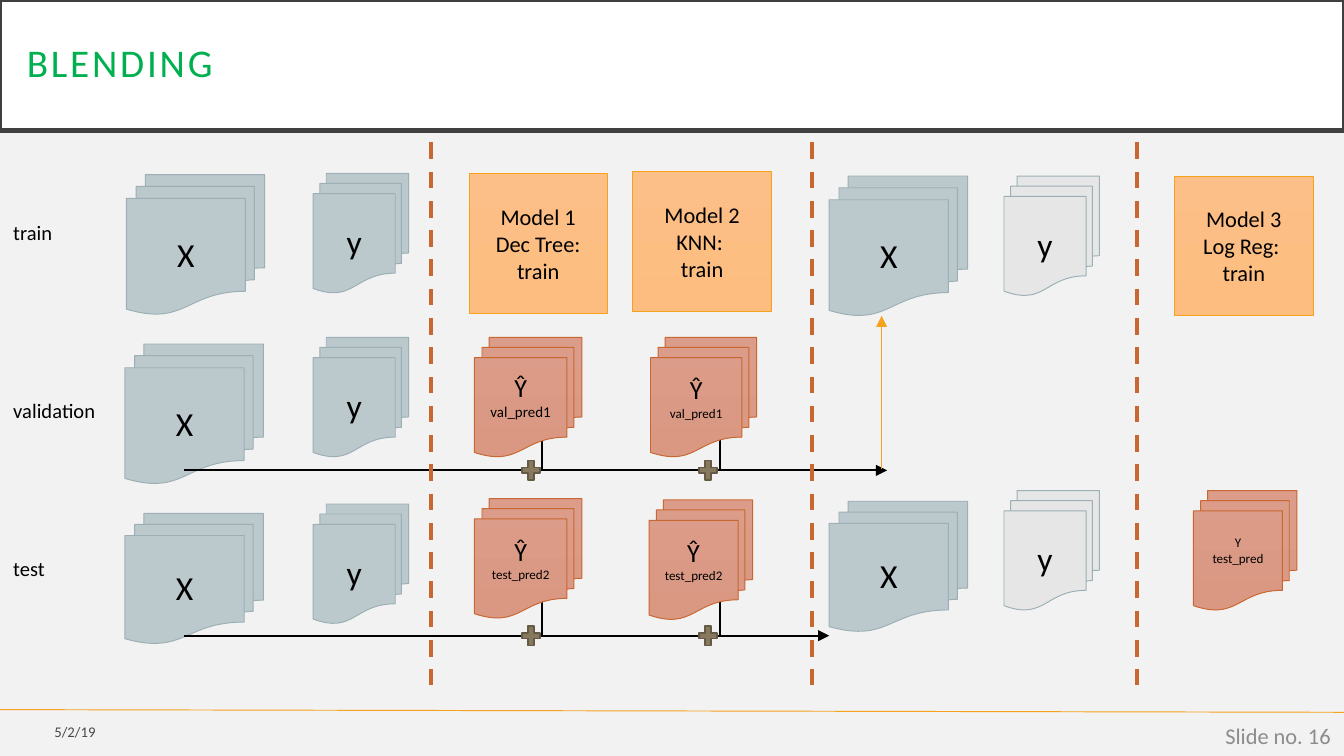
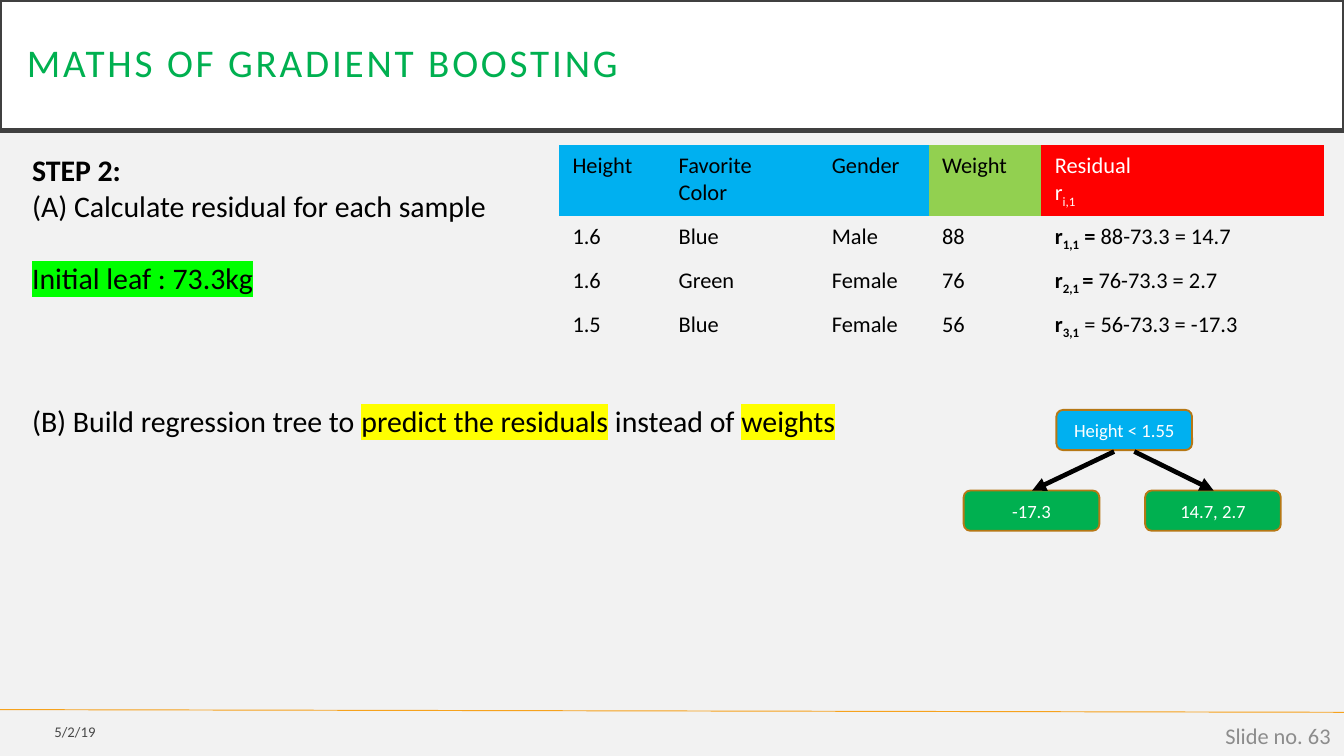
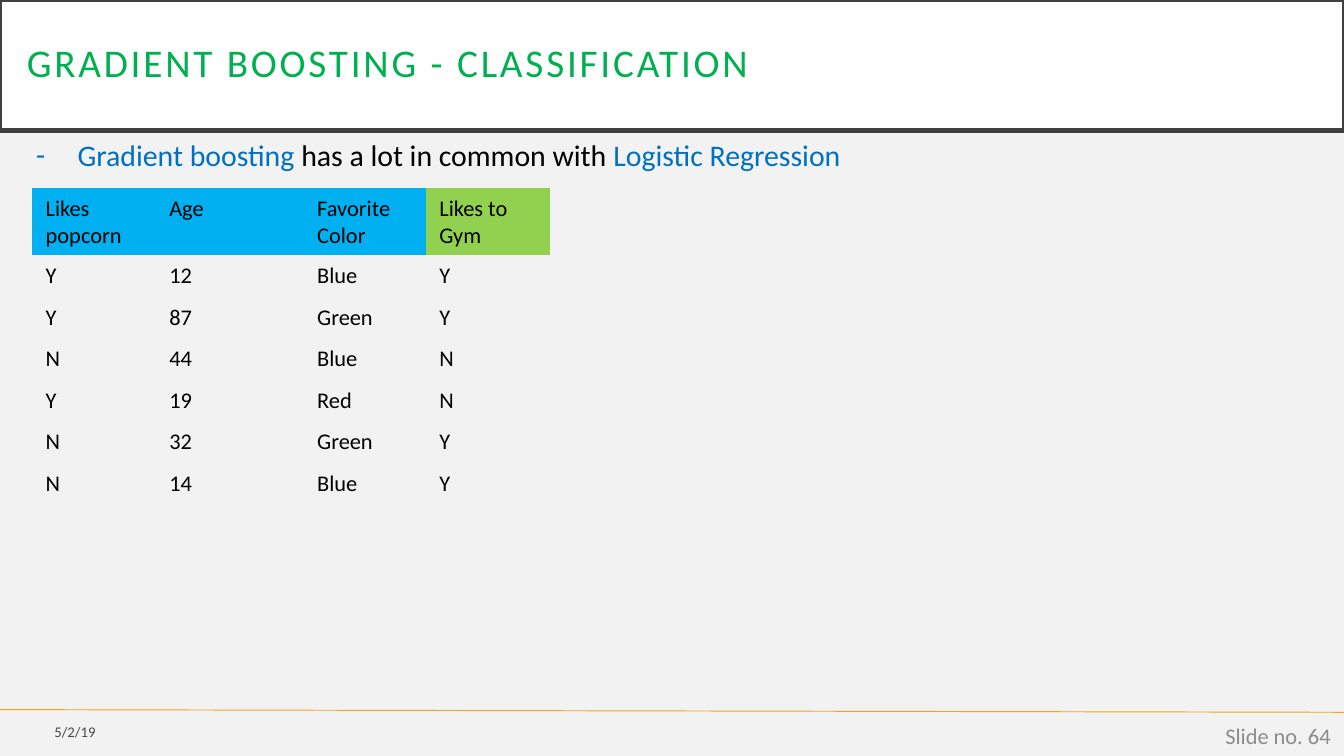
import pptx
import pptx.util
import pptx.dml.color
import pptx.enum.dml
import pptx.enum.shapes
import pptx.enum.text
from lxml import etree
from pptx.oxml.ns import qn

Pt = pptx.util.Pt
SHAPE = pptx.enum.shapes.MSO_SHAPE
ALIGN = pptx.enum.text.PP_ALIGN
MIDDLE = pptx.enum.text.MSO_ANCHOR.MIDDLE

# The slide is a grid of 10 columns; rows are as high as columns are wide.
COLUMNS = 10
ROWS = COLUMNS * 9 / 16
CELL = pptx.util.Inches(1)
FONT = "Calibri"
NS = {"a": "http://schemas.openxmlformats.org/drawingml/2006/main",
      "p": "http://schemas.openxmlformats.org/presentationml/2006/main"}
NO_TABLE_STYLE = "{2D5ABB26-0587-4C30-8999-92F81FD0307C}"

COLORS = {
    "paper": "F2F2F2", "white": "FFFFFF", "black": "000000",
    "frame": "404040", "title": "00B050", "number": "8C8C8C",
    "gold": "F6A21D", "rust": "C96731", "slate": "9BAFB5", "grey": "BFBFBF",
    "plus": "87795D", "plus_edge": "645A45", "node_edge": "B67815",
    "sky": "00B0F0", "lime": "92D050", "red": "FF0000", "blue": "0070C0",
    "mark_green": "00FF00", "mark_yellow": "FFFF00",
    "data_top": "BBC8CC", "data_end": "B8C6CB",
    "model_top": "FCBF87", "model_end": "FDBD80",
    "pred_top": "DB9C89", "pred_end": "DA9882",
}
DATA = ("data_top", "data_end")
MODEL = ("model_top", "model_end")
PRED = ("pred_top", "pred_end")

BOLD = {"bold": True}
SUB = {"sub": True}
BOLD_SUB = {**BOLD, **SUB}


def rgb(name):
    return pptx.dml.color.RGBColor.from_string(COLORS[name])


def grid(*cells):
    return [int(c * CELL) for c in cells]


def set_alpha(sp, where, percent):
    color = sp.element.find(where, NS)
    etree.SubElement(color, qn("a:alpha"), val=str(percent * 1000))


def format_run(r, size, color="black", bold=False, sub=False, mark=None):
    r.font.name, r.font.size, r.font.bold = FONT, Pt(size), bold
    r.font.color.rgb = rgb(color)
    rPr = r.font._element
    if sub:
        rPr.set("baseline", "-25000")
    if mark:
        highlight = etree.Element(qn("a:highlight"))
        etree.SubElement(highlight, qn("a:srgbClr"), val=COLORS[mark])
        rPr.find(qn("a:latin")).addprevious(highlight)


def write(tf, paragraphs, size, color="black", align=ALIGN.LEFT):
    """Fill a text frame; a paragraph is a string or a list of (text, style)."""
    tf.word_wrap = True
    for i, runs in enumerate(paragraphs):
        p = tf.paragraphs[0] if i == 0 else tf.add_paragraph()
        p.alignment = align
        for text, style in [(runs, {})] if isinstance(runs, str) else runs:
            r = p.add_run()
            r.text = text
            format_run(r, **{"size": size, "color": color, **style})


def add_text(slide, box, paragraphs, size, **style):
    sp = slide.shapes.add_textbox(*grid(*box))
    write(sp.text_frame, paragraphs, size, **style)
    return sp


def add_box(slide, kind, box, fill, edge, edge_width=0.5,
            paragraphs=(), size=18, **style):
    """Add a preset shape; a pair of colours as fill makes a gradient."""
    sp = slide.shapes.add_shape(kind, *grid(*box))
    sp.shadow.inherit = False
    if isinstance(fill, tuple):
        sp.fill.gradient()
        sp.fill.gradient_angle = 270
        for stop, name in zip(sp.fill.gradient_stops, fill):
            stop.color.rgb = rgb(name)
    else:
        sp.fill.solid()
        sp.fill.fore_color.rgb = rgb(fill)
    sp.line.color.rgb = rgb(edge)
    sp.line.width = Pt(edge_width)
    sp.text_frame.vertical_anchor = MIDDLE
    write(sp.text_frame, paragraphs, size, **{"align": ALIGN.CENTER, **style})
    return sp


def add_line(slide, start, end, color="black", width=1, arrow=False, dashed=False):
    line = slide.shapes.add_connector(
        pptx.enum.shapes.MSO_CONNECTOR.STRAIGHT, *grid(*start, *end))
    line.line.color.rgb = rgb(color)
    line.line.width = Pt(width)
    if dashed:
        line.line.dash_style = pptx.enum.dml.MSO_LINE.DASH
    spPr = line.element.find("p:spPr", NS)
    if arrow:
        etree.SubElement(spPr.find("a:ln", NS), qn("a:tailEnd"), type="triangle")
    etree.SubElement(spPr, qn("a:effectLst"))


def add_table(slide, left, top, widths, header_fills, rows):
    heights = [0.38] + [0.31] * (len(rows) - 1)
    frame = slide.shapes.add_table(
        len(rows), len(widths), *grid(left, top, sum(widths), sum(heights)))
    frame.element.find(".//a:tableStyleId", NS).text = NO_TABLE_STYLE
    table = frame.table
    table.first_row = table.horz_banding = False
    for column, width in zip(table.columns, grid(*widths)):
        column.width = width
    for row, height in zip(table.rows, grid(*heights)):
        row.height = height
    for i, row in enumerate(rows):
        for j, content in enumerate(row):
            cell = table.cell(i, j)
            if i == 0:
                cell.fill.solid()
                cell.fill.fore_color.rgb = rgb(header_fills[j])
            else:
                cell.fill.background()
            color = "white" if i == 0 and header_fills[j] == "red" else "black"
            write(cell.text_frame, content if isinstance(content, tuple) else [content],
                  12, color)


def new_slide(prs, title, number):
    slide = prs.slides.add_slide(prs.slide_layouts[6])
    slide.background.fill.solid()
    slide.background.fill.fore_color.rgb = rgb("paper")
    add_line(slide, (0, 5.28), (COLUMNS, 5.3), "gold", 0.5)

    band = add_box(slide, SHAPE.RECTANGLE, (0, 0, COLUMNS, 0.97), "white", "frame", 2.5,
                   [title], 21, color="title", align=ALIGN.LEFT)
    tf = band.text_frame
    tf.margin_left = tf.margin_right = tf.margin_top = tf.margin_bottom = grid(0.2)[0]
    tf.paragraphs[0].line_spacing = 0.9
    tf.paragraphs[0].runs[0].font._element.set("spc", "150")

    date = add_text(slide, (0, 5.31, 0.81, 0.27), ["5/2/19"], 7.9, align=ALIGN.RIGHT)
    set_alpha(date, ".//a:rPr/a:solidFill/a:srgbClr", 70)
    page = add_text(slide, (7.75, 5.32, 2.25, 0.3), [f"Slide no. {number}"], 12,
                    color="number", align=ALIGN.RIGHT)
    date.text_frame.vertical_anchor = page.text_frame.vertical_anchor = MIDDLE
    return slide


def add_stack(slide, box, text, fill=DATA):
    return add_box(slide, SHAPE.FLOWCHART_MULTIDOCUMENT, box, fill, "slate",
                   paragraphs=[text])


def add_prediction(slide, box, symbol, symbol_size, name, name_size):
    sp = add_box(slide, SHAPE.FLOWCHART_MULTIDOCUMENT, box, PRED, "rust",
                 paragraphs=[symbol, [(name, {"size": name_size})]], size=symbol_size)
    sp.text_frame.margin_bottom = grid(0.05)[0] + Pt(1.2 * name_size)


def add_merge_flow(slide, y, end):
    """Draw the arrow that gathers the predictions of one row."""
    add_line(slide, (1.37, y), (end, y), arrow=True)
    for plus_x, drop_x in ((3.86, 4.03), (5.18, 5.36)):
        add_box(slide, SHAPE.MATH_PLUS, (plus_x, y - 0.1, 0.18, 0.2),
                "plus", "plus_edge", 1)
        add_line(slide, (drop_x, y - 0.51), (drop_x, y))


def blending_slide(prs):
    slide = new_slide(prs, "BLENDING", 16)
    rows = (("train", 1.59, 0.94, 1.3, 1.04, 1.29),
            ("validation", 2.91, 0.93, 2.56, 1.04, 2.51),
            ("test", 4.09, 0.93, 3.82, 0.97, 3.75))
    for label, label_y, x_left, x_top, x_height, y_top in rows:
        add_text(slide, (0, label_y, 0.81, 0.29), [label], 11)
        add_stack(slide, (x_left, x_top, 1.03, x_height), "X")
        add_stack(slide, (2.33, y_top, 0.71, 0.89), "y")

    models = ((3.49, 1.29, ["Model 1", "Dec Tree: train"]),
              (4.71, 1.28, ["Model 2", "KNN: ", "train"]),
              (8.74, 1.31, ["Model 3", "Log Reg: ", "train"]))
    for x, y, lines in models:
        add_box(slide, SHAPE.RECTANGLE, (x, y, 1.03, 1.04), MODEL, "gold",
                paragraphs=lines, size=12)

    add_merge_flow(slide, 3.5, 6.6)
    add_merge_flow(slide, 4.73, 6.17)

    for x_top, x_height, y_top in ((1.31, 1.04, 1.31), (3.73, 0.97, 3.65)):
        add_stack(slide, (6.17, x_top, 1.03, x_height), "X")
        target = add_stack(slide, (7.47, y_top, 0.71, 0.89), "y", "grey")
        set_alpha(target, "p:spPr/a:solidFill/a:srgbClr", 22)

    predictions = ((3.53, 2.51, 0.8, "Ŷ", 14, "val_pred1", 8),
                   (4.84, 2.51, 0.79, "Ŷ", 14, "val_pred1", 7),
                   (3.53, 3.71, 0.8, "Ŷ", 14, "test_pred2", 7),
                   (4.83, 3.72, 0.77, "Ŷ", 14, "test_pred2", 7),
                   (8.88, 3.65, 0.77, "Y", 7, "test_pred", 7))
    for x, y, width, *text in predictions:
        add_prediction(slide, (x, y, width, 0.89), *text)

    for x in (3.21, 6.04, 8.46):
        add_line(slide, (x, 1.06), (x, 5.1), "rust", 2.25, dashed=True)
    add_line(slide, (6.56, 3.49), (6.56, 2.35), "gold", 0.5, arrow=True)


def residuals_slide(prs):
    slide = new_slide(prs, "MATHS OF GRADIENT BOOSTING", 63)
    steps = add_text(slide, (0.14, 1.08, 9.71, 2.61), [
        [("STEP 2:", BOLD)],
        "(A) Calculate residual for each sample",
        [("Initial leaf : 73.3kg", {"mark": "mark_green"})],
        [("(B) Build regression tree to ", {}),
         ("predict the residuals", {"mark": "mark_yellow"}),
         (" instead of ", {}),
         ("weights", {"mark": "mark_yellow"})],
    ], 16)
    line_height = 19.2
    for p, gap in zip(steps.text_frame.paragraphs[2:], (1, 3)):
        p.space_before = Pt(gap * line_height)

    r = ("r", BOLD)
    add_table(slide, 4.16, 1.08, (0.79, 1.14, 0.82, 0.84, 2.1),
              ("sky", "sky", "sky", "lime", "red"), [
        ("Height", "Favorite Color", "Gender", "Weight",
         ("Residual", [("r", {}), ("i,1", SUB)])),
        ("1.6", "Blue", "Male", "88",
         [r, ("1,1", BOLD_SUB), (" = ", BOLD), ("88-73.3 = 14.7", {})]),
        ("1.6", "Green", "Female", "76",
         [r, ("2,1 ", BOLD_SUB), ("= ", BOLD), ("76-73.3 = 2.7", {})]),
        ("1.5", "Blue", "Female", "56",
         [r, ("3,1", BOLD_SUB), (" = 56-73.3 = -17.3", {})]),
    ])

    for x, y, fill, text in ((7.86, 3.05, "sky", "Height < 1.55"),
                             (7.17, 3.65, "title", "-17.3"),
                             (8.52, 3.65, "title", "14.7, 2.7")):
        add_box(slide, SHAPE.ROUNDED_RECTANGLE, (x, y, 1.01, 0.3), fill, "node_edge", 1,
                [text], 10, color="white")
    for start_x, end_x in ((8.44, 9.03), (8.29, 7.68)):
        add_line(slide, (start_x, 3.36), (end_x, 3.65), width=2.5, arrow=True)


def classification_slide(prs):
    slide = new_slide(prs, "GRADIENT BOOSTING - CLASSIFICATION", 64)
    blue = {"color": "blue"}
    intro = add_text(slide, (0.17, 0.97, 9.66, 0.64), [
        [("Gradient boosting ", blue), ("has a lot in common with ", {}),
         ("Logistic Regression", blue)]], 16)
    pPr = intro.element.find(".//a:pPr", NS)
    indent = grid(0.31)[0]
    pPr.set("marL", str(indent))
    pPr.set("indent", str(-indent))
    etree.SubElement(pPr, qn("a:buFont"), typeface=FONT)
    etree.SubElement(pPr, qn("a:buChar"), char="-")

    add_table(slide, 0.24, 1.4, (0.92, 1.1, 0.91, 0.92),
              ("sky", "sky", "sky", "lime"), [
        ("Likes popcorn", "Age", "Favorite Color", "Likes to Gym"),
        ("Y", "12", "Blue", "Y"),
        ("Y", "87", "Green", "Y"),
        ("N", "44", "Blue", "N"),
        ("Y", "19", "Red", "N"),
        ("N", "32", "Green", "Y"),
        ("N", "14", "Blue", "Y"),
    ])


def main():
    prs = pptx.Presentation()
    prs.slide_width, prs.slide_height = grid(COLUMNS, ROWS)
    blending_slide(prs)
    residuals_slide(prs)
    classification_slide(prs)
    prs.save("out.pptx")


if __name__ == "__main__":
    main()
